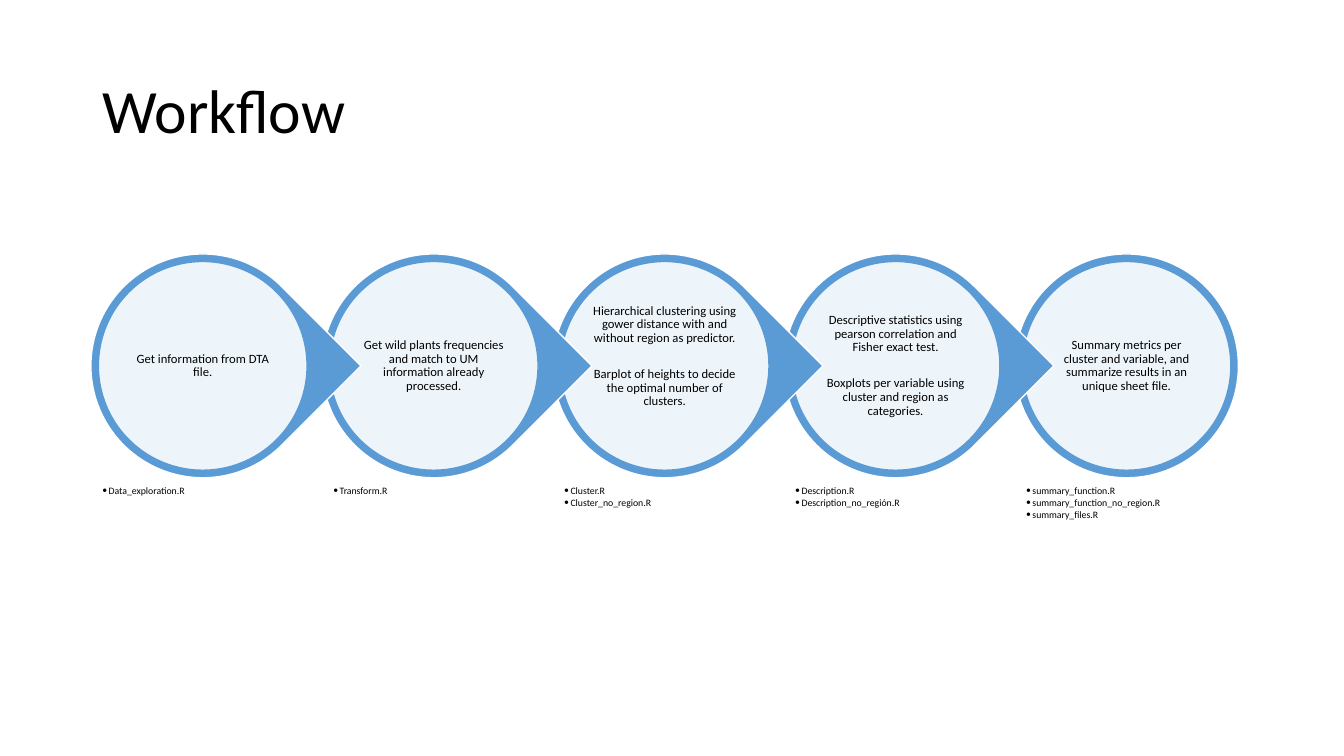
from lxml.etree import SubElement
from pptx import Presentation
from pptx.dml.color import RGBColor
from pptx.enum.shapes import MSO_SHAPE as Preset
from pptx.enum.text import MSO_ANCHOR as Anchor, PP_ALIGN as Align
from pptx.oxml.ns import qn
from pptx.util import Cm, Pt

BLUE = RGBColor(0x5B, 0x9B, 0xD5)
WHITE = RGBColor(0xFF, 0xFF, 0xFF)
BLACK = RGBColor(0x00, 0x00, 0x00)
FONT = "Calibri"

FIRST_LEFT, RING_TOP, PITCH = 2.29, 6.4, 5.82
RING_SIZE, DISC_SIZE, LABEL_SIZE = 5.64, 5.26, 3.76
FILES_TOP, FILES_HEIGHT = 12.14, 3.1
LABEL_INSET, RAISED_INSET = 0.03, 0.5

STAGES = [
    (["Get information from DTA file."], ["Data_exploration.R"], LABEL_INSET),
    (["Get wild plants frequencies and match to UM information already processed."],
     ["Transform.R"], LABEL_INSET),
    (["Hierarchical clustering using gower distance with and without region as predictor.",
      "Barplot of heights to decide the optimal number of clusters."],
     ["Cluster.R", "Cluster_no_region.R"], RAISED_INSET),
    (["Descriptive statistics using pearson correlation and Fisher exact test.",
      "Boxplots per variable using cluster and region as categories."],
     ["Description.R", "Description_no_región.R"], LABEL_INSET),
    (["Summary metrics per cluster and variable, and summarize results in an unique sheet file."],
     ["summary_function.R", "summary_function_no_region.R", "summary_files.R"], LABEL_INSET),
]


def add_outline(slide, preset, left, top, size, fill, line):
    """Add a square-framed preset shape with a thin line and return it."""
    outline = slide.shapes.add_shape(preset, Cm(left), Cm(top), Cm(size), Cm(size))
    outline.shadow.inherit = False
    outline.fill.solid()
    outline.fill.fore_color.rgb = fill
    outline.line.color.rgb = line
    outline.line.width = Pt(1)
    return outline


def add_text(slide, box, lines, size, inset, anchor=Anchor.TOP, align=Align.LEFT, gap=0):
    """Add a wrapped text box with one paragraph per line and return its frame."""
    frame = slide.shapes.add_textbox(*map(Cm, box)).text_frame
    frame.word_wrap = True
    frame.vertical_anchor = anchor
    frame.margin_left = frame.margin_right = Cm(inset[0])
    frame.margin_top, frame.margin_bottom = Cm(inset[1]), Cm(inset[2])
    for index, line in enumerate(lines):
        paragraph = frame.add_paragraph() if index else frame.paragraphs[0]
        paragraph.alignment = align
        paragraph.line_spacing = 0.9
        paragraph.space_before = Pt(gap if index else 0)
        run = paragraph.add_run()
        run.text = line
        run.font.name = FONT
        run.font.size = Pt(size)
        run.font.color.rgb = BLACK
    return frame


def add_bullets(frame):
    """Give every paragraph of a frame a hanging bullet."""
    for paragraph in frame.paragraphs:
        properties = paragraph._p.get_or_add_pPr()
        properties.set("marL", str(Cm(0.16)))
        properties.set("indent", str(-Cm(0.16)))
        SubElement(properties, qn("a:buFont"), typeface=FONT)
        SubElement(properties, qn("a:buChar"), char="•")


def add_ring(slide, left, is_last):
    """Add the blue ring, pointed towards the next stage, and its pale disc."""
    preset = Preset.OVAL if is_last else Preset.TEAR
    ring = add_outline(slide, preset, left, RING_TOP, RING_SIZE, BLUE, WHITE)
    ring.rotation = 0 if is_last else 45
    margin = (RING_SIZE - DISC_SIZE) / 2
    disc = add_outline(slide, Preset.OVAL, left + margin, RING_TOP + margin,
                       DISC_SIZE, WHITE, BLUE)
    color = disc.fill._xPr.find(qn("a:solidFill"))[0]
    SubElement(color, qn("a:alpha"), val="90000")


def add_stage(slide, left, steps, files, bottom_inset, is_last):
    """Add one workflow stage: ring, description and script files."""
    add_ring(slide, left, is_last)
    margin = (RING_SIZE - LABEL_SIZE) / 2
    label_box = (left + margin, RING_TOP + margin, LABEL_SIZE, LABEL_SIZE)
    add_text(slide, label_box, steps, 9, (LABEL_INSET, LABEL_INSET, bottom_inset),
             Anchor.MIDDLE, Align.CENTER, gap=16)
    files_left = left + (RING_SIZE - DISC_SIZE) / 2
    files_box = (files_left, FILES_TOP, DISC_SIZE, FILES_HEIGHT)
    add_bullets(add_text(slide, files_box, files, 7, (0.1, 0.1, 0.1), gap=1))


def main():
    """Build the workflow slide and save it."""
    deck = Presentation()
    deck.slide_width, deck.slide_height = Cm(33.87), Cm(19.05)
    slide = deck.slides.add_slide(deck.slide_layouts[6])
    last = len(STAGES) - 1
    for index in reversed(range(len(STAGES))):
        add_stage(slide, FIRST_LEFT + index * PITCH, *STAGES[index], index == last)
    add_text(slide, (2.33, 1.01, 29.21, 3.68), ["Workflow"], 44,
             (0.25, 0.13, 0.13), Anchor.MIDDLE)
    deck.save("out.pptx")


if __name__ == "__main__":
    main()
